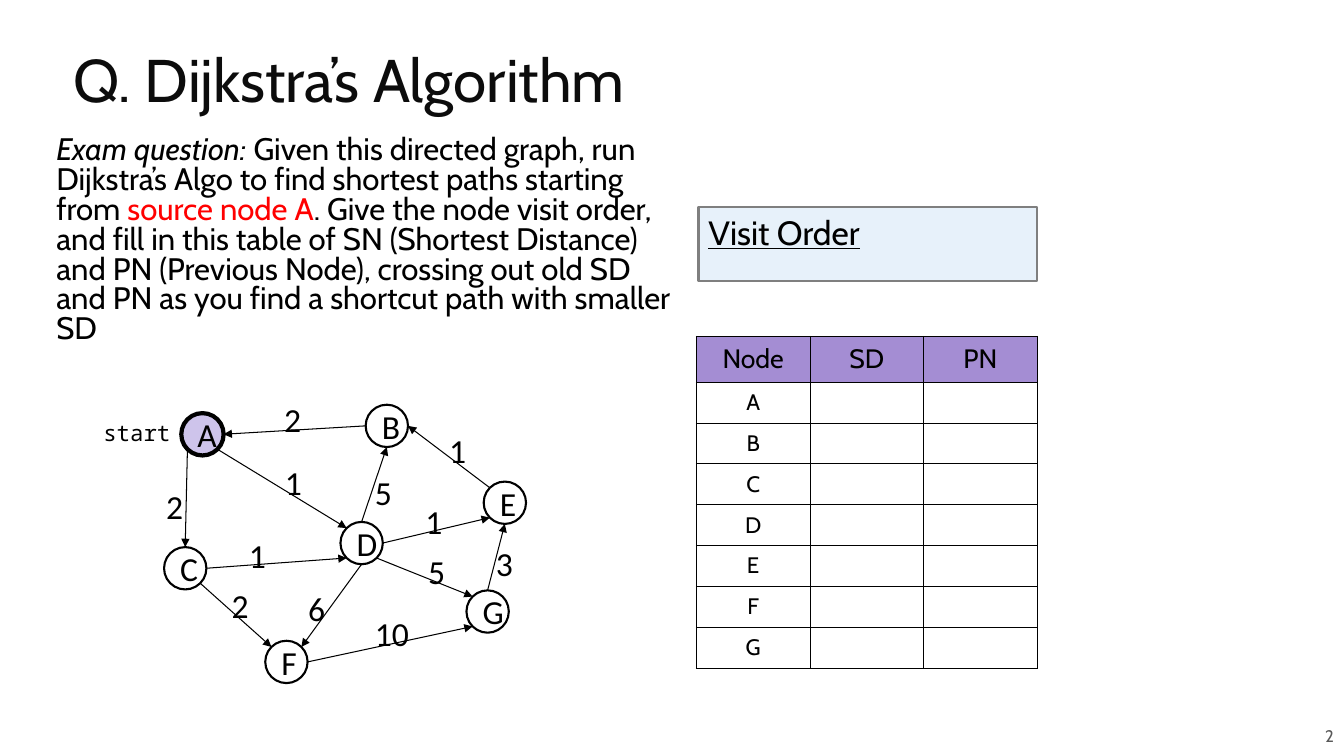
from math import cos, radians, sin

from lxml import etree
from pptx import Presentation
from pptx import util as u
from pptx.dml.color import RGBColor
from pptx.enum import shapes, text
from pptx.oxml import ns

BODY, MATH, MONO = "Cabin", "Calibri", "Noto Sans Mono"
BLACK, WHITE = "000000", "FFFFFF"
GRID = u.Inches(1 / 12)
DIAMETER = 5.04
NODES = {
    "A": (24.1, 51.7), "B": (46.05, 50.7), "C": (22.05, 67.65), "D": (43.05, 64.65),
    "E": (60.1, 59.85), "F": (34.1, 78.8), "G": (58.05, 72.8),
}
ANGLES = {"r": 0, "br": 45, "b": 90, "bl": 135, "l": 180, "tl": 225, "t": 270, "tr": 315}
EDGES = [
    ("A", "bl", "C", "t", "2", 18.6, 57.25),
    ("B", "l", "A", "r", "2", 32.65, 46.9),
    ("D", "t", "B", "b", "5", 43.45, 55.55),
    ("A", "br", "D", "tl", "1", 32.75, 54.35),
    ("C", "r", "D", "bl", "1", 28.45, 63.1),
    ("D", "r", "E", "bl", "1", 49.45, 59.05),
    ("E", "tl", "B", "r", "1", 52.3, 50.65),
    ("C", "br", "F", "tl", "2", 26.4, 69.1),
    ("D", "b", "F", "tr", "6", 35.5, 69.35),
    ("D", "br", "G", "tl", "5", 49.8, 65.05),
    ("G", "t", "E", "b", "3", 57.85, 64.1),
    ("F", "r", "G", "bl", "10", 43.45, 72.35),
]
QUESTION = [
    ("Exam question: ", BLACK, True),
    ("Given this directed graph, run Dijkstra’s Algo to find shortest paths starting from ",
     BLACK, False),
    ("source node A", "FF0000", False),
    (". Give the node visit order, and fill in this table of SN (Shortest Distance) and PN "
     "(Previous Node), crossing out old SD and PN as you find a shortcut path with smaller SD",
     BLACK, False),
]


def color(value):
    """Turn a hex string into a colour."""
    return RGBColor.from_string(value)


def grid(*cells):
    """Turn counts of grid columns or rows into lengths."""
    return [u.Emu(round(n * GRID)) for n in cells]


def style(r, size, font=BODY, ink=BLACK):
    """Format a run."""
    r.font.size, r.font.name = u.Pt(size), font
    r.font.color.rgb = color(ink)


def set_frame(tf, inset=(1.2, 0.6), anchor=text.MSO_ANCHOR.TOP, wrap=True):
    """Set the insets, anchor and wrapping of a text frame."""
    tf.auto_size = text.MSO_AUTO_SIZE.NONE
    tf.word_wrap, tf.vertical_anchor = wrap, anchor
    tf.margin_left, tf.margin_top = tf.margin_right, tf.margin_bottom = grid(*inset)


def fill_text(tf, words, size, font=BODY, ink=BLACK, align=text.PP_ALIGN.LEFT):
    """Write one formatted paragraph and return it."""
    tf.text = words
    p = tf.paragraphs[0]
    p.alignment = align
    style(p.runs[0], size, font, ink)
    return p


def add_label(s, box, words, size, font=BODY, ink=BLACK, align=text.PP_ALIGN.LEFT, **frame):
    """Add a text box with one line."""
    tf = s.shapes.add_textbox(*grid(*box)).text_frame
    set_frame(tf, **frame)
    fill_text(tf, words, size, font, ink, align)


def add_title(s):
    """Place and format the title."""
    sp = s.shapes.title
    sp.left, sp.top, sp.width, sp.height = grid(7.56, 3.48, 146.76, 13.32)
    set_frame(sp.text_frame, anchor=text.MSO_ANCHOR.MIDDLE)
    fill_text(sp.text_frame, "Q. Dijkstra’s Algorithm", 43, ink="0C0C0C").line_spacing = 0.8


def add_question(s):
    """Add the exam question."""
    tf = s.shapes.add_textbox(*grid(6.1, 15.7, 74.5, 27.6)).text_frame
    set_frame(tf, inset=(0.6, 0.6))
    p = tf.paragraphs[0]
    p.line_spacing = 0.8
    for words, ink, italic in QUESTION:
        r = p.add_run()
        r.text = words
        style(r, 22.2, ink=ink)
        r.font.italic = italic


def add_outlined(s, kind, box, fill, line, width):
    """Add a preset shape with a fill and an outline."""
    sp = s.shapes.add_shape(kind, *grid(*box))
    sp.shadow.inherit = False
    if fill:
        sp.fill.solid()
        sp.fill.fore_color.rgb = color(fill)
    else:
        sp.fill.background()
    sp.line.color.rgb, sp.line.width = color(line), u.Pt(width)
    return sp


def add_visit_order(s):
    """Add the box for the visit order."""
    sp = add_outlined(s, shapes.MSO_SHAPE.RECTANGLE, (83.15, 24.6, 40.35, 8.9),
                      "E7F1FA", "7F7F7F", 1.5)
    set_frame(sp.text_frame)
    fill_text(sp.text_frame, "Visit Order", 24).runs[0].font.underline = True


def format_cell(cell, words, size, fill):
    """Give a cell its text, borders and fill."""
    pr = cell._tc.get_or_add_tcPr()
    for side in ("lnL", "lnR", "lnT", "lnB"):
        ln = etree.SubElement(pr, ns.qn(f"a:{side}"), w=str(u.Pt(0.75)))
        solid = etree.SubElement(ln, ns.qn("a:solidFill"))
        etree.SubElement(solid, ns.qn("a:srgbClr"), val=BLACK)
    cell.fill.solid()
    cell.fill.fore_color.rgb = color(fill)
    cell.vertical_anchor = text.MSO_ANCHOR.MIDDLE
    cell.margin_left = cell.margin_right = cell.margin_top = cell.margin_bottom = grid(0.8)[0]
    if words:
        fill_text(cell.text_frame, words, size, align=text.PP_ALIGN.CENTER)
    else:
        end = cell.text_frame.paragraphs[0]._p.get_or_add_endParaRPr()
        end.set("sz", str(size * 100))


def add_distance_table(s):
    """Add the table of shortest distances and previous nodes."""
    rows = [("Node", "SD", "PN")] + [(name, "", "") for name in NODES]
    tbl = s.shapes.add_table(len(rows), 3, *grid(82.9, 40.05, 40.6, 39.2)).table
    tbl.first_row = tbl.horz_banding = False
    for col in tbl.columns:
        col.width = grid(13.53)[0]
    for i, row in enumerate(rows):
        height, size, fill = (5.45, 19, "A48DD3") if i == 0 else (4.82, 16, WHITE)
        tbl.rows[i].height = grid(height)[0]
        for j, words in enumerate(row):
            format_cell(tbl.cell(i, j), words, size, fill)


def add_node(s, name):
    """Add a graph node, marking the source."""
    x, y = NODES[name]
    fill, width = ("CEC4EB", 3) if name == "A" else (None, 1.5)
    box = (x - DIAMETER / 2, y - DIAMETER / 2, DIAMETER, DIAMETER)
    sp = add_outlined(s, shapes.MSO_SHAPE.OVAL, box, fill, BLACK, width)
    set_frame(sp.text_frame, anchor=text.MSO_ANCHOR.MIDDLE)
    fill_text(sp.text_frame, name, 24, MATH, align=text.PP_ALIGN.CENTER)


def rim(name, side):
    """Find the point on a node's rim in a direction."""
    x, y = NODES[name]
    angle = radians(ANGLES[side])
    return x + DIAMETER / 2 * cos(angle), y + DIAMETER / 2 * sin(angle)


def add_edge(s, start, start_side, end, end_side, weight, x, y):
    """Add an arrow between two nodes and its weight."""
    points = grid(*rim(start, start_side), *rim(end, end_side))
    c = s.shapes.add_connector(shapes.MSO_CONNECTOR.STRAIGHT, *points)
    c.line.color.rgb, c.line.width = color(BLACK), u.Pt(0.75)
    etree.SubElement(c.line._get_or_add_ln(), ns.qn("a:tailEnd"), type="triangle")
    etree.SubElement(c._element.spPr, ns.qn("a:effectLst"))
    add_label(s, (x, y, 2.4 + 2.04 * len(weight), 6), weight, 24, MATH, wrap=False)


def main():
    """Build the slide."""
    prs = Presentation()
    prs.slide_width, prs.slide_height = grid(160, 90)
    s = prs.slides.add_slide(prs.slide_layouts[5])
    add_title(s)
    add_distance_table(s)
    add_question(s)
    add_visit_order(s)
    for name in NODES:
        add_node(s, name)
    for edge in EDGES:
        add_edge(s, *edge)
    add_label(s, (9.15, 48.35, 12.7, 6.25), "start", 16, MONO,
              align=text.PP_ALIGN.RIGHT, inset=(1.56, 1.56))
    add_label(s, (103.8, 85.2, 56.2, 4.8), "2", 12, ink="595959", align=text.PP_ALIGN.RIGHT,
              inset=(1.2, 1.2), anchor=text.MSO_ANCHOR.MIDDLE)
    prs.save("out.pptx")


if __name__ == "__main__":
    main()
